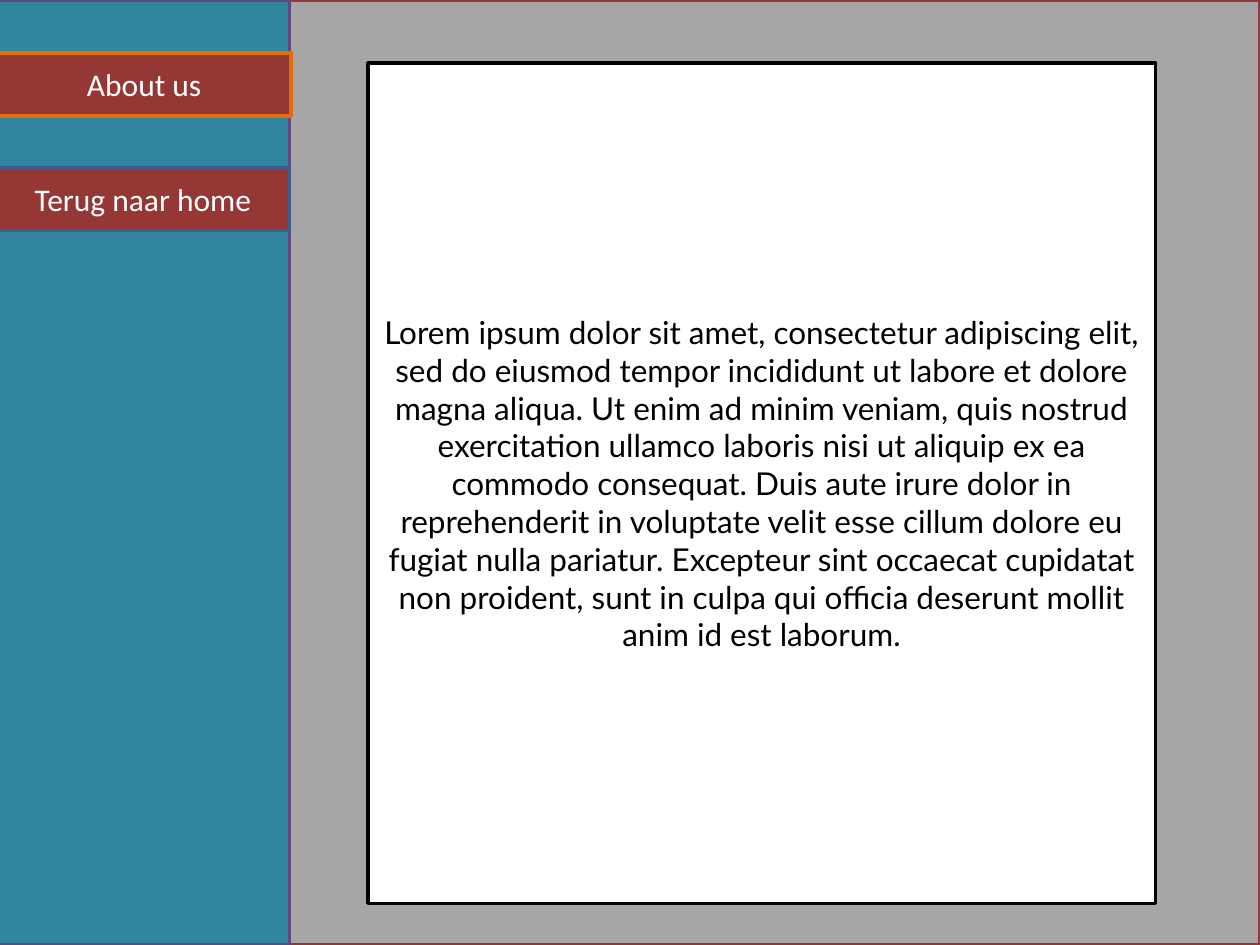
from pptx import Presentation
from pptx.dml.color import RGBColor
from pptx.enum.shapes import MSO_SHAPE as Shape
from pptx.enum.text import MSO_ANCHOR as Anchor, PP_ALIGN as Align
from pptx.util import Inches, Pt

# Content
BODY = (
    "Lorem ipsum dolor sit amet, consectetur adipiscing elit, sed do eiusmod tempor "
    "incididunt ut labore et dolore magna aliqua. Ut enim ad minim veniam, quis nostrud "
    "exercitation ullamco laboris nisi ut aliquip ex ea commodo consequat. Duis aute irure "
    "dolor in reprehenderit in voluptate velit esse cillum dolore eu fugiat nulla pariatur. "
    "Excepteur sint occaecat cupidatat non proident, sunt in culpa qui officia deserunt "
    "mollit anim id est laborum."
)
# Menu: label, left, top, line colour
MENU = [
    ("About us", -0.02, 0.42, "E46C0A"),
    ("Terug naar home", -0.03, 1.33, "3A5F8C"),
]
WIDTH, HEIGHT = 10, 7.5
MENU_WIDTH, BUTTON_HEIGHT = 2.33, 0.5


def color(value):
    return RGBColor.from_string(value)


def add_box(slide, box, fill, line, text="", font="Calibri", text_color="FFFFFF"):
    shape = slide.shapes.add_shape(Shape.RECTANGLE, *map(Inches, box))
    shape.shadow.inherit = False
    shape.fill.solid()
    shape.fill.fore_color.rgb = color(fill)
    shape.line.color.rgb = color(line)
    shape.line.width = Pt(2)
    if text:
        frame = shape.text_frame
        frame.text = text
        frame.word_wrap = True
        frame.vertical_anchor = Anchor.MIDDLE
        paragraph = frame.paragraphs[0]
        paragraph.alignment = Align.CENTER
        run_font = paragraph.runs[0].font
        run_font.name = font
        run_font.size = Pt(18)
        run_font.color.rgb = color(text_color)


presentation = Presentation()
presentation.slide_width = Inches(WIDTH)
presentation.slide_height = Inches(HEIGHT)
slide = presentation.slides.add_slide(presentation.slide_layouts[6])

# Page background and sidebar
add_box(slide, (0, 0, WIDTH, HEIGHT), "A6A6A6", "953735")
add_box(slide, (-0.03, 0, MENU_WIDTH, HEIGHT), "31859C", "604A7B")

# Menu buttons
for label, left, top, line in MENU:
    add_box(slide, (left, top, MENU_WIDTH, BUTTON_HEIGHT), "953735", line, label)

# Text panel
add_box(slide, (2.92, 0.5, 6.25, 6.67), "FFFFFF", "000000", BODY, "Lato", "000000")

presentation.save("out.pptx")
